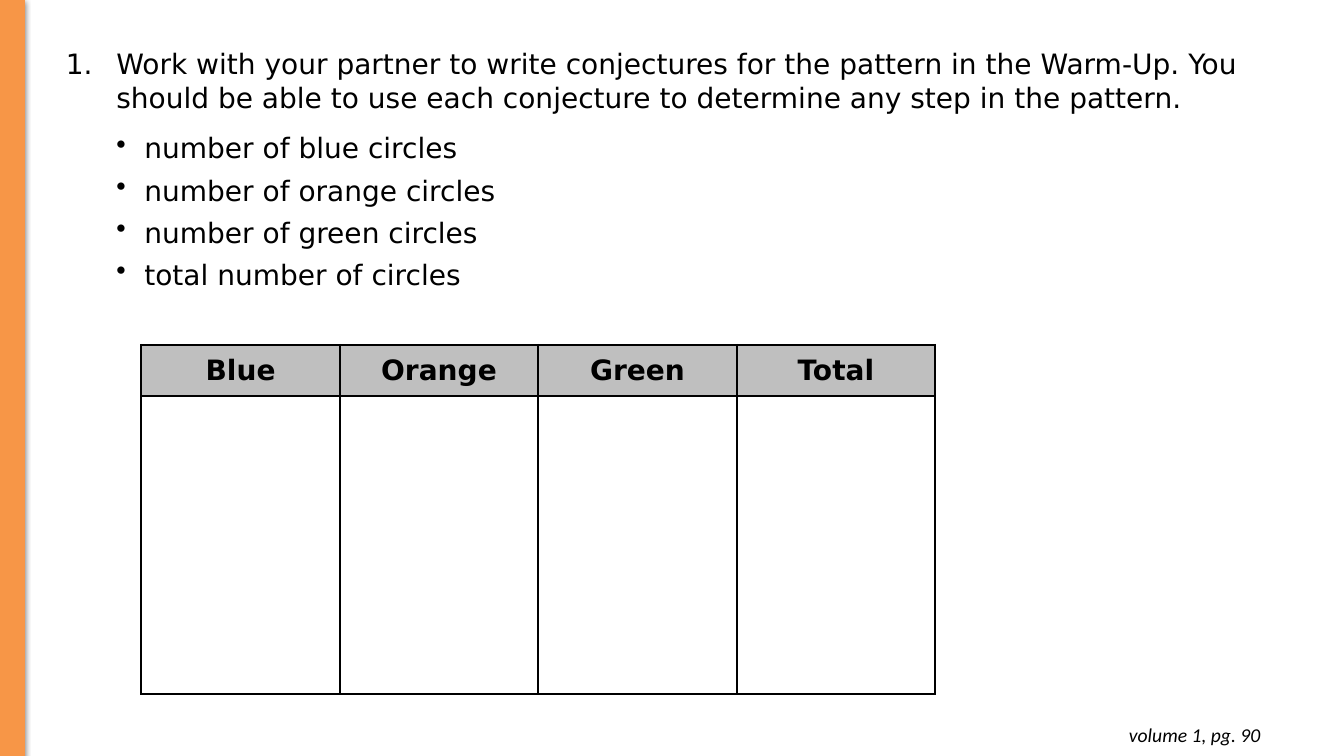
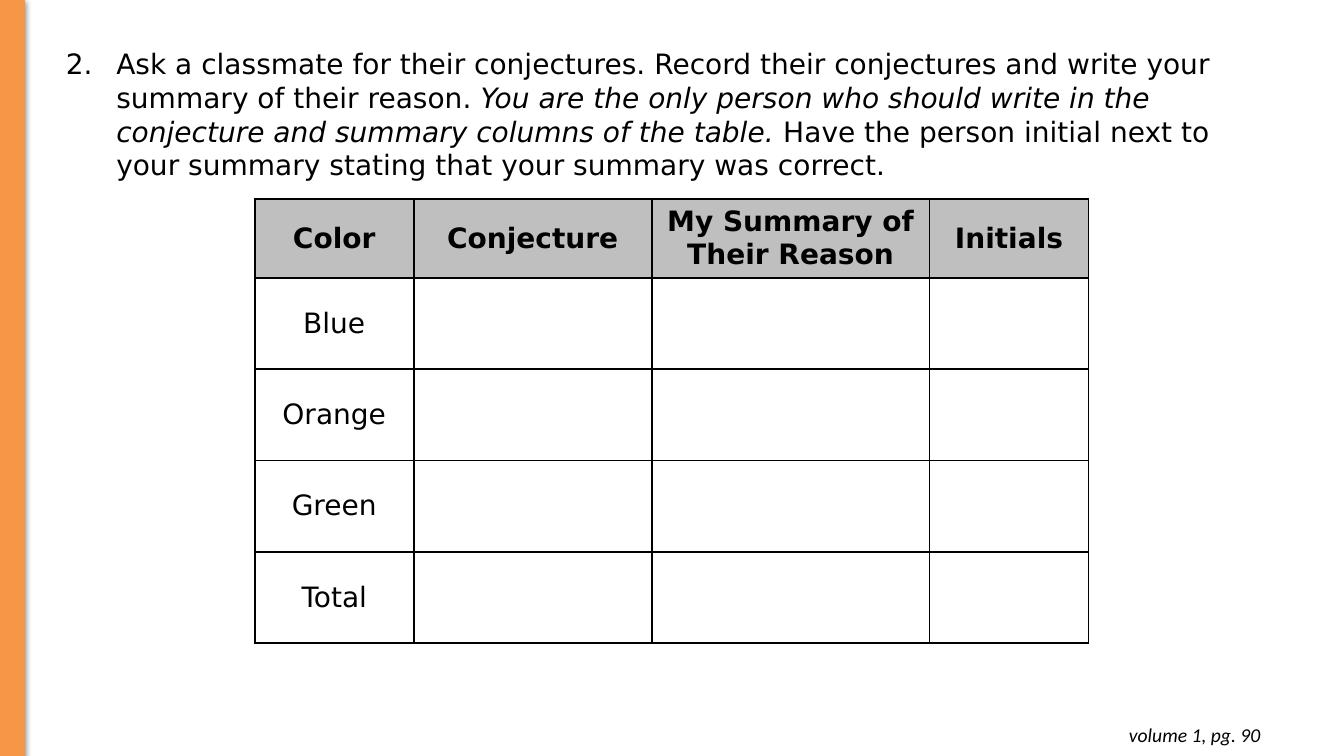
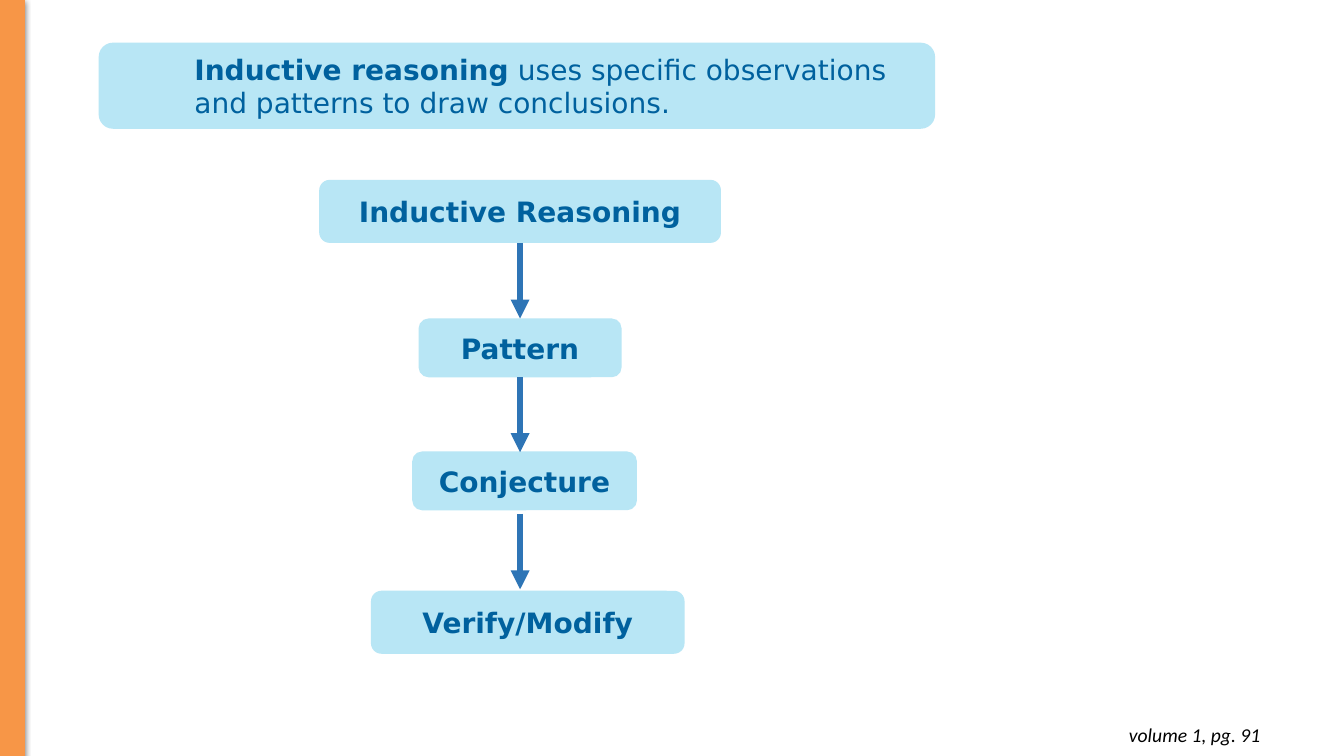
from lxml.etree import SubElement
from pptx import Presentation
from pptx.dml.color import RGBColor
from pptx.enum.shapes import MSO_CONNECTOR, MSO_SHAPE
from pptx.enum.text import MSO_ANCHOR, MSO_AUTO_SIZE, PP_ALIGN
from pptx.oxml.ns import qn
from pptx.util import Pt

BLACK = RGBColor(0x00, 0x00, 0x00)
GREY = RGBColor(0xBF, 0xBF, 0xBF)
ORANGE = RGBColor(0xF7, 0x96, 0x47)
SKY = RGBColor(0xB8, 0xE6, 0xF5)
NAVY = RGBColor(0x00, 0x61, 0x9E)
BLUE = RGBColor(0x2E, 0x75, 0xB6)


def node(root, tag, **attrs):
    return SubElement(root, qn(tag), {key: str(val) for key, val in attrs.items()})


def tint(root, color, alpha=None):
    clr = node(root, "a:srgbClr", val=color)
    if alpha:
        node(clr, "a:alpha", val=alpha)


class Deck:
    face = "DejaVu Sans"
    size = 20

    def __init__(self):
        self.prs = Presentation()
        self.prs.slide_width, self.prs.slide_height = Pt(960), Pt(540)

    def page(self, note):
        self.slide = self.prs.slides.add_slide(self.prs.slide_layouts[6])
        self.shapes = self.slide.shapes
        self.band()
        self.note(note)

    def runs(self, para, parts, color=BLACK, face=face, size=size):
        for text, style in parts:
            run = para.add_run()
            run.text = text
            font = run.font
            font.name, font.size = face, Pt(size)
            font.bold, font.italic = "b" in style, "i" in style
            font.color.rgb = color

    def text(self, left, top, width, height, inset=None):
        box = self.shapes.add_textbox(Pt(left), Pt(top), Pt(width), Pt(height))
        frame = box.text_frame
        frame.word_wrap = True
        frame.auto_size = MSO_AUTO_SIZE.SHAPE_TO_FIT_TEXT
        if inset:
            frame.margin_left = frame.margin_right = Pt(inset)
            frame.margin_top = frame.margin_bottom = Pt(inset)
        return frame

    def shape(self, kind, left, top, width, height, color):
        shape = self.shapes.add_shape(kind, Pt(left), Pt(top), Pt(width), Pt(height))
        shape.shadow.inherit = False
        shape.fill.solid()
        shape.fill.fore_color.rgb = color
        shape.line.fill.background()
        return shape

    def band(self):
        bar = self.shape(MSO_SHAPE.RECTANGLE, 0, 0, 17.3, 540.5, ORANGE)
        bar.line.color.rgb = ORANGE
        bar.line.width = Pt(0.75)
        effects = bar._element.spPr.find(qn("a:effectLst"))
        shade = node(effects, "a:outerShdw", blurRad=Pt(4.5), dist=Pt(1.5),
                     dir=90 * 60000, rotWithShape=0)
        tint(shade, BLACK, 50000)

    def note(self, text):
        para = self.text(700, 509, 207.5, 32, 7.2).paragraphs[0]
        para.alignment = PP_ALIGN.RIGHT
        self.runs(para, [(text, "i")], face="Calibri", size=14)

    def mark(self, para, left, hang, tag, **attrs):
        props = para._p.get_or_add_pPr()
        props.set("marL", str(Pt(left)))
        props.set("indent", str(Pt(-hang)))
        tint(node(props, "a:buClr"), BLACK)
        node(props, tag, **attrs)

    def task(self, start, parts, items=(), width=852, height=104):
        frame = self.text(40, 30, width, height)
        para = frame.paragraphs[0]
        self.mark(para, 36, 36, "a:buAutoNum", type="arabicPeriod", startAt=start)
        self.runs(para, parts)
        gap = 12
        for item in items:
            para.space_after = Pt(gap)
            para = frame.add_paragraph()
            self.mark(para, 56, 20, "a:buChar", char="•")
            self.runs(para, [(item, "")])
            gap = 6

    def cell(self, cell, text, head):
        props = cell._tc.get_or_add_tcPr()
        for side in "LRTB":
            edge = node(props, f"a:ln{side}", w=Pt(1.5))
            tint(node(edge, "a:solidFill"), BLACK)
        if head:
            cell.fill.solid()
            cell.fill.fore_color.rgb = GREY
        else:
            cell.fill.background()
        cell.vertical_anchor = MSO_ANCHOR.MIDDLE
        if text:
            para = cell.text_frame.paragraphs[0]
            para.alignment = PP_ALIGN.CENTER
            self.runs(para, [(text, "b" if head else "")])

    def table(self, left, top, widths, heights, rows):
        grid = self.shapes.add_table(len(heights), len(widths), Pt(left), Pt(top),
                                     Pt(sum(widths)), Pt(sum(heights))).table
        grid.first_row = grid.horz_banding = False
        for col, width in zip(grid.columns, widths):
            col.width = Pt(width)
        for row, height in zip(grid.rows, heights):
            row.height = Pt(height)
        for r, row in enumerate(rows):
            for c, text in enumerate(row):
                self.cell(grid.cell(r, c), text, r == 0)

    def card(self, left, top, width, height, parts, indent=None):
        card = self.shape(MSO_SHAPE.ROUNDED_RECTANGLE, left, top, width, height, SKY)
        frame = card.text_frame
        frame.word_wrap = True
        frame.vertical_anchor = MSO_ANCHOR.MIDDLE
        para = frame.paragraphs[0]
        para.alignment = PP_ALIGN.CENTER
        if indent:
            para.alignment = PP_ALIGN.LEFT
            para._p.get_or_add_pPr().set("marL", str(Pt(indent)))
        self.runs(para, parts, NAVY)
        return card

    def arrow(self, x, top, end, tail=None, head=None):
        line = self.shapes.add_connector(MSO_CONNECTOR.STRAIGHT, Pt(x), Pt(top), Pt(x), Pt(end))
        if tail:
            line.begin_connect(tail, 2)
        if head:
            line.end_connect(head, 0)
        line.line.color.rgb = BLUE
        line.line.width = Pt(4.5)
        node(line.line._get_or_add_ln(), "a:tailEnd", type="triangle")
        node(line._element.spPr, "a:effectLst")


def main():
    deck = Deck()

    deck.page("volume 1, pg. 90")
    deck.task(1, [("Work with your partner to write conjectures for the pattern in the Warm-Up. "
                   "You should be able to use each conjecture to determine any step in the pattern.", "")],
              ["number of blue circles", "number of orange circles",
               "number of green circles", "total number of circles"], height=207)
    hues = ["Blue", "Orange", "Green", "Total"]
    deck.table(101, 246.3, [141.75] * 4, [36.5, 212.8], [hues, [""] * 4])

    deck.page("volume 1, pg. 90")
    deck.task(2, [("Ask a classmate for their conjectures. Record their conjectures and write your "
                   "summary of their reason. ", ""),
                  ("You are the only person who should write in the conjecture and summary columns "
                   "of the table.", "i"),
                  (" Have the person initial next to your summary stating that your summary "
                   "was correct.", "")], width=868)
    heads = ["Color", "Conjecture", "My Summary of Their Reason", "Initials"]
    deck.table(182, 142, [113.5, 170, 198.5, 113.5], [56.5] + [65.2] * 4,
               [heads] + [[hue, "", "", ""] for hue in hues])

    deck.page("volume 1, pg. 91")
    deck.card(70.5, 30.5, 597.5, 61.5,
              [("Inductive reasoning", "b"),
               (" uses specific observations and patterns to draw conclusions.", "")], 58.3)
    steps = [("Inductive Reasoning", 228, 128.5, 287, 45),
             ("Pattern", 299, 227.5, 145, 42),
             ("Conjecture", 294.5, 322.5, 160.5, 42),
             ("Verify/Modify", 265, 422, 224, 45)]
    cards = [deck.card(*place, [(name, "b")]) for name, *place in steps]
    axis = 371.5
    deck.arrow(axis, 173.5, 227.5, cards[0], cards[1])
    deck.arrow(axis, 269.5, 323, cards[1])
    deck.arrow(axis, 367, 421)

    deck.prs.save("out.pptx")


if __name__ == "__main__":
    main()
